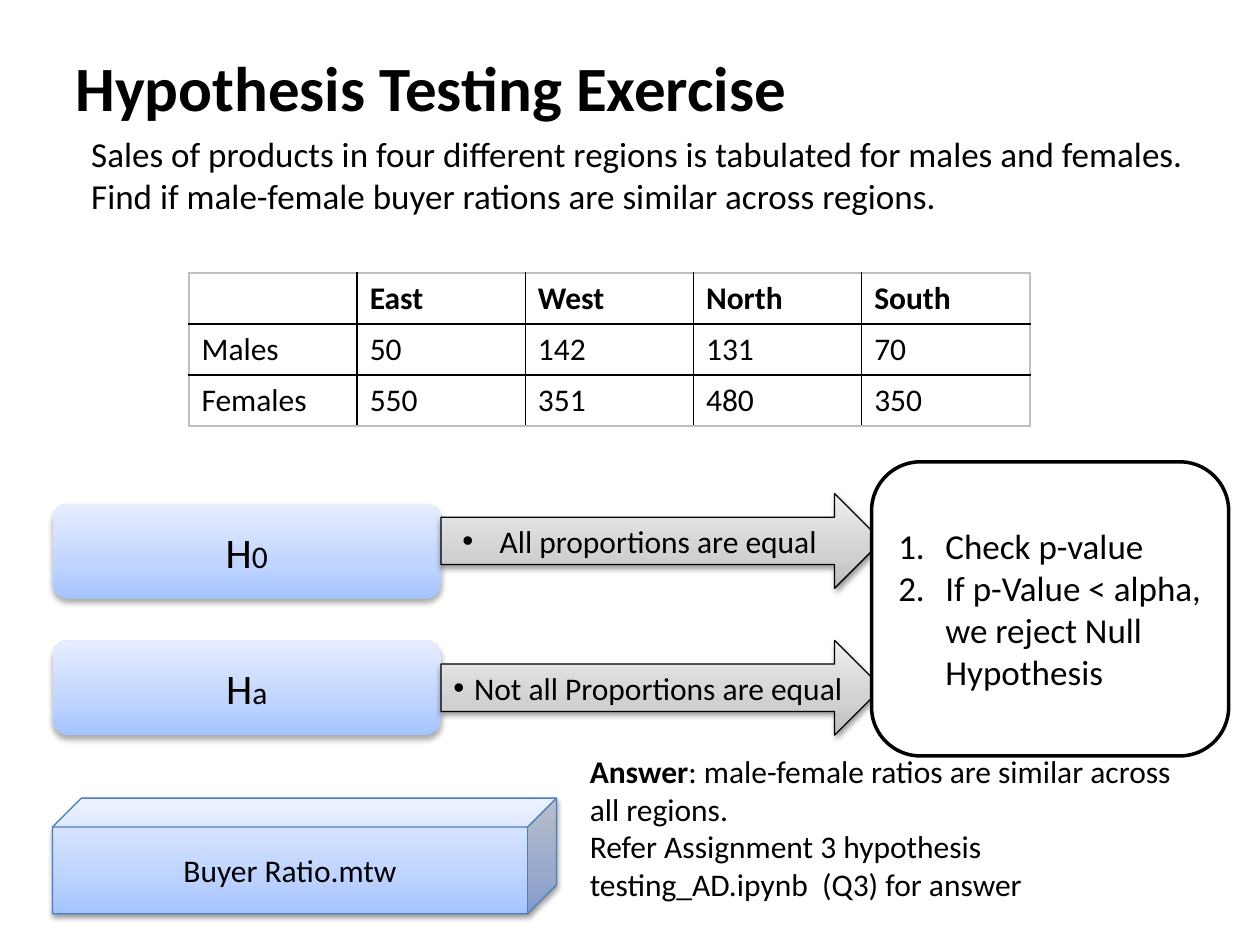
from lxml import etree
from pptx import Presentation
from pptx.dml.color import RGBColor
from pptx.enum.shapes import MSO_SHAPE
from pptx.enum.text import MSO_ANCHOR, PP_ALIGN
from pptx.oxml.ns import qn
from pptx.util import Cm, Pt

ROUNDED, ARROW, CUBE = MSO_SHAPE.ROUNDED_RECTANGLE, MSO_SHAPE.RIGHT_ARROW, MSO_SHAPE.CUBE
TOP, MIDDLE = MSO_ANCHOR.TOP, MSO_ANCHOR.MIDDLE
LEFT, CENTER = PP_ALIGN.LEFT, PP_ALIGN.CENTER

BLACK = RGBColor(0x00, 0x00, 0x00)
WHITE = RGBColor(0xFF, 0xFF, 0xFF)
EDGE_GRAY = RGBColor(0xBF, 0xBF, 0xBF)
CUBE_EDGE = RGBColor(0x4B, 0x7E, 0xBC)
BLUES = [(0, RGBColor(0xA4, 0xC4, 0xFF)), (35, RGBColor(0xBF, 0xD4, 0xFF)),
         (100, RGBColor(0xE6, 0xEE, 0xFF))]
GRAYS = [(0, RGBColor(0xBD, 0xBD, 0xBD)), (35, RGBColor(0xD1, 0xD1, 0xD1)),
         (100, RGBColor(0xEE, 0xEE, 0xEE))]
# opacity in percent, blur and distance in points
SOFT_SHADOW = (32, 3.5, 2.2)
CRISP_SHADOW = (38, 3.1, 1.6)


def add_color(parent, color):
    return etree.SubElement(parent, qn("a:srgbClr"), val=str(color))


class SlideBuilder:
    font = "Calibri"

    def __init__(self, slide):
        self.slide = slide

    def add_runs(self, paragraph, runs, align=LEFT):
        """Fill a paragraph with (text, size, bold) runs."""
        paragraph.alignment = align
        for text, size, bold in runs:
            run = paragraph.add_run()
            run.text = text
            style = {"name": self.font, "size": Pt(size), "bold": bold}
            for name, value in style.items():
                setattr(run.font, name, value)
            run.font.color.rgb = BLACK

    def fill_frame(self, frame, paragraphs, align=LEFT, anchor=TOP):
        frame.word_wrap = True
        frame.vertical_anchor = anchor
        for index, runs in enumerate(paragraphs):
            paragraph = frame.add_paragraph() if index else frame.paragraphs[0]
            self.add_runs(paragraph, runs, align)

    def indent(self, paragraph, left, first=0, bullet=None, **mark):
        """Set margins in cm and, if given, a bullet element with its attributes."""
        props = paragraph._p.get_or_add_pPr()
        props.set("marL", str(Cm(left)))
        props.set("indent", str(Cm(first)))
        if bullet:
            etree.SubElement(props, qn("a:buFont"), typeface="Arial")
            etree.SubElement(props, qn(bullet), **mark)

    def text(self, box, paragraphs, anchor=TOP):
        frame = self.slide.shapes.add_textbox(*map(Cm, box)).text_frame
        self.fill_frame(frame, paragraphs, anchor=anchor)
        return frame

    def shape(self, kind, box, paragraphs, gradient=None, line=None, width=0.75,
              shadow=None, align=CENTER):
        shape = self.slide.shapes.add_shape(kind, *map(Cm, box))
        if gradient:
            self.shade(shape, gradient)
        else:
            shape.fill.solid()
            shape.fill.fore_color.rgb = WHITE
        if line is None:
            shape.line.fill.background()
        else:
            shape.line.color.rgb = line
            shape.line.width = Pt(width)
        shape.shadow.inherit = False
        if shadow:
            self.drop_shadow(shape, *shadow)
        self.fill_frame(shape.text_frame, paragraphs, align, MIDDLE)
        return shape.text_frame

    def shade(self, shape, stops):
        shape.fill.gradient()
        shape.fill.gradient_angle = 90
        stop_list = shape._element.spPr.find(".//" + qn("a:gsLst"))
        for old in list(stop_list):
            stop_list.remove(old)
        for position, color in stops:
            add_color(etree.SubElement(stop_list, qn("a:gs"), pos=str(position * 1000)), color)

    def drop_shadow(self, shape, opacity, blur, distance):
        effects = shape._element.spPr.find(qn("a:effectLst"))
        outer = etree.SubElement(effects, qn("a:outerShdw"), blurRad=str(Pt(blur)),
                                 dist=str(Pt(distance)), dir="5400000", rotWithShape="0")
        etree.SubElement(add_color(outer, BLACK), qn("a:alpha"), val=str(opacity * 1000))

    def table(self, left, top, col_width, row_height, rows):
        n_rows, n_cols = len(rows), len(rows[0])
        table = self.slide.shapes.add_table(
            n_rows, n_cols, Cm(left), Cm(top),
            Cm(col_width * n_cols), Cm(row_height * n_rows)).table
        table.first_row = table.horz_banding = False
        for r, values in enumerate(rows):
            for c, value in enumerate(values):
                cell = table.cell(r, c)
                cell.fill.background()
                self.add_runs(cell.text_frame.paragraphs[0], [(value, 18, r == 0)])
                outer = {"L": c == 0, "R": c == n_cols - 1,
                         "T": r == 0, "B": r == n_rows - 1}
                self.borders(cell, outer)

    def borders(self, cell, outer):
        props = cell._tc.get_or_add_tcPr()
        for index, (side, is_outer) in enumerate(outer.items()):
            line = etree.Element(qn("a:ln" + side), w=str(Pt(1)))
            add_color(etree.SubElement(line, qn("a:solidFill")),
                      EDGE_GRAY if is_outer else BLACK)
            props.insert(index, line)


def main():
    deck = Presentation()
    deck.slide_width, deck.slide_height = Cm(25.4), Cm(19.05)
    page = SlideBuilder(deck.slides.add_slide(deck.slide_layouts[6]))

    page.text((1.27, 0.76, 22.86, 1.98), [[("Hypothesis Testing Exercise", 36, True)]], MIDDLE)
    question = page.text((0.64, 2.54, 24.33, 15.88), [[(
        "Sales of products in four different regions is tabulated for males and females. "
        "Find if male-female buyer rations are similar across regions.", 20, False)]])
    question.paragraphs[0].space_before = Pt(4)
    page.indent(question.paragraphs[0], 0.95)

    page.table(3.81, 5.5, 3.39, 1.03, [
        ["", "East", "West", "North", "South"],
        ["Males", "50", "142", "131", "70"],
        ["Females", "550", "351", "480", "350"],
    ])

    hypotheses = [
        ("0", "All proportions are equal", 10.16, 9.95, -0.75),
        ("a", "Not all Proportions are equal", 12.91, 12.91, -0.43),
    ]
    for suffix, claim, label_top, arrow_top, hanging in hypotheses:
        page.shape(ROUNDED, (1.06, label_top, 7.83, 1.91),
                   [[("H", 24, False), (suffix, 18, False)]], BLUES, shadow=SOFT_SHADOW)
        statement = page.shape(ARROW, (8.89, arrow_top, 8.89, 1.91), [[(claim, 18, False)]],
                               GRAYS, BLACK, shadow=CRISP_SHADOW)
        page.indent(statement.paragraphs[0], 0.35, hanging, "a:buChar", char="•")

    decision = page.shape(ROUNDED, (17.57, 9.31, 7.2, 5.93), [
        [("Check p-value", 20, False)],
        [("If p-Value < alpha, we reject Null Hypothesis", 20, False)],
    ], line=BLACK, width=2, align=LEFT)
    for step in decision.paragraphs:
        page.indent(step, 0.95, -0.95, "a:buAutoNum", type="arabicPeriod")

    page.shape(CUBE, (1.06, 16.09, 10.16, 2.33), [[("Buyer Ratio.mtw", 18, False)]],
               BLUES, CUBE_EDGE, shadow=CRISP_SHADOW)
    page.text((11.64, 15.03, 12.7, 4.11), [
        [("Answer", 18, True),
         (": male-female ratios are similar across all regions.", 18, False)],
        [("Refer Assignment 3 hypothesis testing_AD.ipynb  (Q3) for answer", 18, False)],
    ])
    deck.save("out.pptx")


if __name__ == "__main__":
    main()
